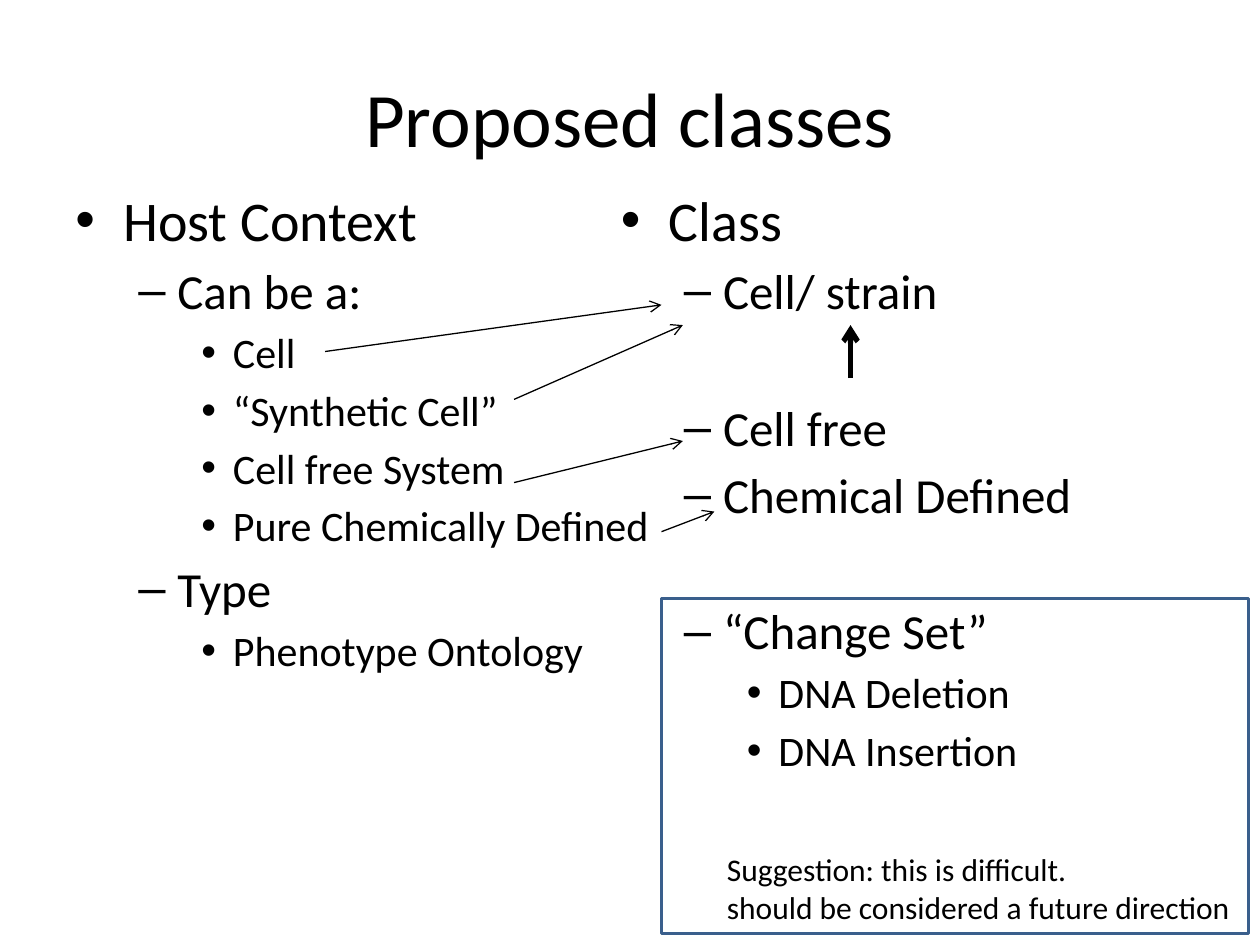
import pptx
import pptx.dml.color
import pptx.enum.shapes
import pptx.enum.text
import pptx.oxml.ns
import pptx.util
from lxml import etree
from pptx.util import Inches

BLACK = pptx.dml.color.RGBColor(0x00, 0x00, 0x00)
BLUE = pptx.dml.color.RGBColor(0x3A, 0x5F, 0x8C)

# Outline levels: left indent, hanging indent, bullet, size, space before
LEVELS = [
    (0.38, 0.38, "•", 32, 0),
    (0.81, 0.31, "–", 28, 4.7),
    (1.25, 0.25, "•", 24, 4.2),
]
GROUP_GAP = 44.4  # space before a level that starts a new group


def add_text(left, top, width, height, lines, size=None, wrap=True):
    """Add a text box; each line is (level, text, space before or None)."""
    shape = slide.shapes.add_textbox(
        Inches(left), Inches(top), Inches(width), Inches(height))
    frame = shape.text_frame
    frame.word_wrap = wrap
    for index, (level, text, space) in enumerate(lines):
        paragraph = frame.paragraphs[0] if index == 0 else frame.add_paragraph()
        paragraph.text = text
        font_size = size
        if level is not None:
            indent, hanging, bullet, font_size, level_space = LEVELS[level]
            paragraph.level = level
            properties = paragraph._p.get_or_add_pPr()
            properties.set("marL", str(Inches(indent)))
            properties.set("indent", str(-Inches(hanging)))
            for tag, name, value in (("a:buFont", "typeface", "Arial"),
                                     ("a:buChar", "char", bullet)):
                etree.SubElement(properties, pptx.oxml.ns.qn(tag)).set(name, value)
            if index:
                paragraph.space_before = pptx.util.Pt(space or level_space)
        font_format = {"name": "Calibri", "size": pptx.util.Pt(font_size)}
        for attribute, value in font_format.items():
            setattr(paragraph.font, attribute, value)
        paragraph.font.color.rgb = BLACK
    return frame


presentation = pptx.Presentation()
presentation.slide_width = Inches(10)
presentation.slide_height = Inches(7.5)
slide = presentation.slides.add_slide(presentation.slide_layouts[6])

# Title
title = add_text(0.5, 0.3, 9, 1.25, [(None, "Proposed classes", None)], size=44)
title.vertical_anchor = pptx.enum.text.MSO_ANCHOR.MIDDLE
title.paragraphs[0].alignment = pptx.enum.text.PP_ALIGN.CENTER

# Two outline columns
host_context = [
    (0, "Host Context", None),
    (1, "Can be a:", None),
    (2, "Cell", None),
    (2, "“Synthetic Cell”", None),
    (2, "Cell free System", None),
    (2, "Pure Chemically Defined", None),
    (1, "Type", None),
    (2, "Phenotype Ontology", None),
]
classes = [
    (0, "Class", None),
    (1, "Cell/ strain", None),
    (1, "Cell free", GROUP_GAP),
    (1, "Chemical Defined", None),
    (1, "“Change Set”", GROUP_GAP),
    (2, "DNA Deletion", None),
    (2, "DNA Insertion", None),
]
for left, lines in ((0.5, host_context), (4.83, classes)):
    add_text(left, 1.42, 4.92, 5.28, lines)

# Arrows from host contexts to classes, and the thick upward arrow
arrows = [
    (6.75, 3, 6.75, 2.58, 3),
    (2.58, 2.79, 5.25, 2.42, 0.75),
    (4.08, 3.17, 5.42, 2.58, 0.75),
    (4.08, 3.83, 5.42, 3.5, 0.75),
    (5.25, 4.22, 5.67, 4.06, 0.75),
]
for *ends, line_width in arrows:
    arrow = slide.shapes.add_connector(
        pptx.enum.shapes.MSO_CONNECTOR.STRAIGHT, *map(Inches, ends))
    arrow.line.color.rgb = BLACK
    arrow.line.width = pptx.util.Pt(line_width)
    etree.SubElement(arrow.line._get_or_add_ln(),
                     pptx.oxml.ns.qn("a:tailEnd")).set("type", "arrow")
    etree.SubElement(arrow._element.spPr, pptx.oxml.ns.qn("a:effectLst"))

# Frame around the change set
frame_box = slide.shapes.add_shape(
    pptx.enum.shapes.MSO_SHAPE.RECTANGLE,
    Inches(5.25), Inches(4.75), Inches(4.66), Inches(2.66))
frame_box.shadow.inherit = False
frame_box.fill.background()
frame_box.line.color.rgb = BLUE
frame_box.line.width = pptx.util.Pt(2)

# Suggestion note
add_text(5.67, 6.7, 4.25, 0.71, [
    (None, "Suggestion: this is difficult.", None),
    (None, "should be considered a future direction", None),
], size=18, wrap=False)

presentation.save("out.pptx")
